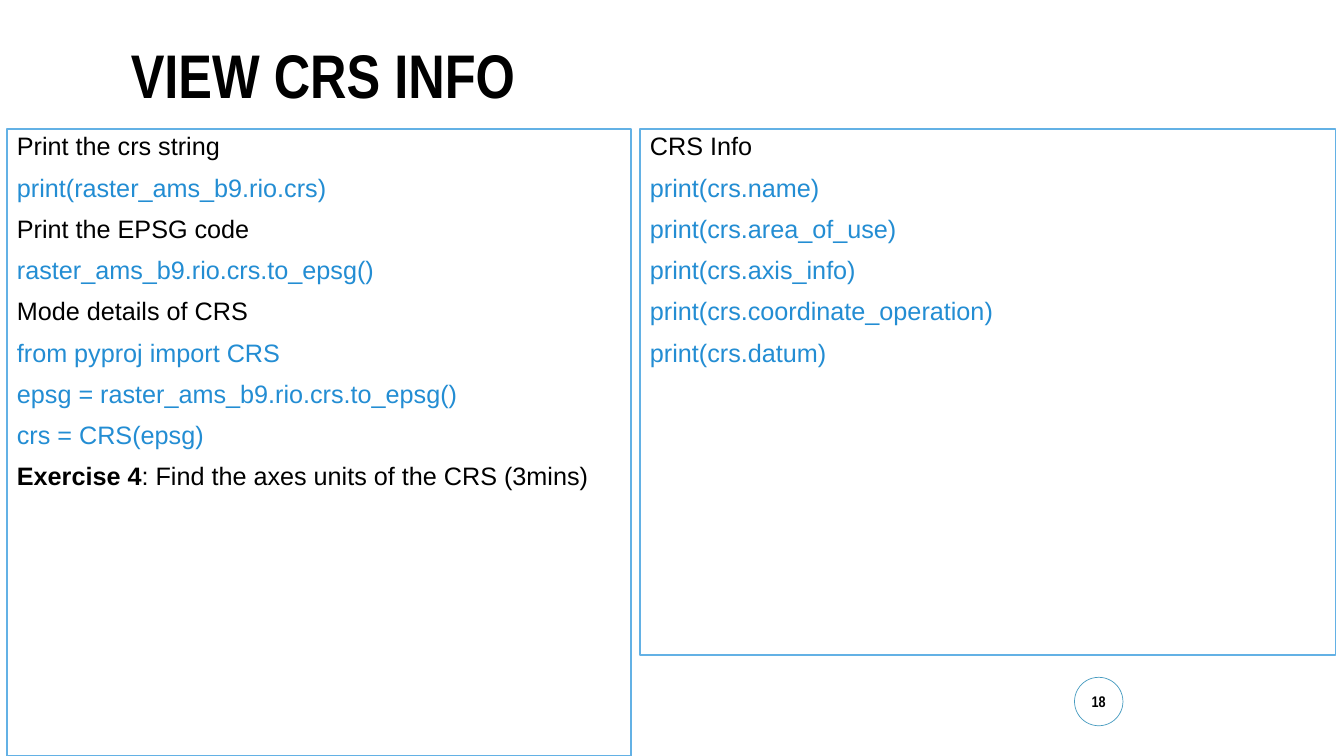
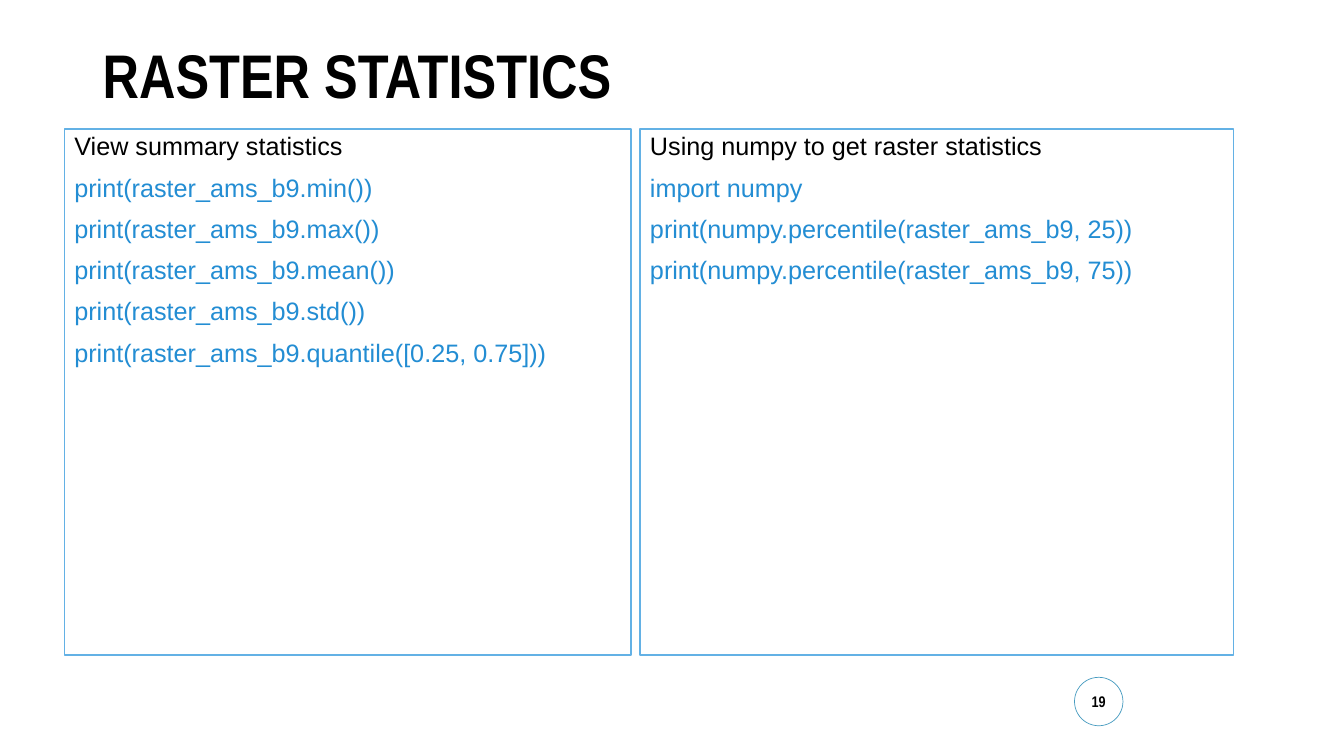
import dataclasses
import typing

import pptx
import pptx.dml.color
import pptx.enum.shapes
import pptx.enum.text
import pptx.presentation
import pptx.shapes.autoshape
import pptx.slide
import pptx.text.text
import pptx.util

Pt = pptx.util.Pt
ALIGN = pptx.enum.text.PP_ALIGN
ANCHOR = pptx.enum.text.MSO_ANCHOR
SHAPE = pptx.enum.shapes.MSO_SHAPE

BLACK, WHITE = "000000", "FFFFFF"
CODE, EDGE, RING = "238DD3", "63B1E5", "469BC0"
HEAD, BODY = "Arial Narrow", "Arial"
WIDE, HIGH = 960, 540
TOP, BASE = 92.2, 468
SPLIT, GAP = 450.7, 6.5


@dataclasses.dataclass(frozen=True)
class Line:
    text: str
    code: bool = True
    lead: str = ""


@dataclasses.dataclass(frozen=True)
class Panel:
    left: float
    right: float
    lines: typing.Sequence[Line]
    base: float = BASE


@dataclasses.dataclass(frozen=True)
class Page:
    title: str
    number: int
    panels: typing.Sequence[Panel]
    indent: float = 0


def note(text: str, lead: str = "") -> Line:
    """Make a line of plain prose with an optional bold lead."""
    return Line(text, False, lead)


PAGES = (
    Page("VIEW CRS INFO", 18, (
        Panel(5, SPLIT, (
            note("Print the crs string"),
            Line("print(raster_ams_b9.rio.crs)"),
            note("Print the EPSG code"),
            Line("raster_ams_b9.rio.crs.to_epsg()"),
            note("Mode details of CRS"),
            Line("from pyproj import CRS"),
            Line("epsg = raster_ams_b9.rio.crs.to_epsg()"),
            Line("crs = CRS(epsg)"),
            note(": Find the axes units of the CRS (3mins)", "Exercise 4"),
        ), HIGH),
        Panel(SPLIT + GAP, 954, (
            note("CRS Info"),
            Line("print(crs.name)"),
            Line("print(crs.area_of_use)"),
            Line("print(crs.axis_info)"),
            Line("print(crs.coordinate_operation)"),
            Line("print(crs.datum)"),
        )),
    ), 20),
    Page("RASTER STATISTICS", 19, (
        Panel(46, SPLIT, (
            note("View summary statistics"),
            Line("print(raster_ams_b9.min())"),
            Line("print(raster_ams_b9.max())"),
            Line("print(raster_ams_b9.mean())"),
            Line("print(raster_ams_b9.std())"),
            Line("print(raster_ams_b9.quantile([0.25, 0.75]))"),
        )),
        Panel(SPLIT + GAP, 881.3, (
            note("Using numpy to get raster statistics"),
            Line("import numpy"),
            Line("print(numpy.percentile(raster_ams_b9, 25))"),
            Line("print(numpy.percentile(raster_ams_b9, 75))"),
        )),
    )),
)


def tint(code: str) -> pptx.dml.color.RGBColor:
    """Turn a hex string into a colour."""
    return pptx.dml.color.RGBColor.from_string(code)


def style(run: pptx.text.text._Run, size: float, face: str,
          color: str = BLACK, bold: bool = False) -> None:
    """Set the font of a run."""
    font = run.font
    font.size, font.name, font.bold = Pt(size), face, bold
    font.color.rgb = tint(color)


def shape(slide: pptx.slide.Slide, kind: SHAPE, left: float, top: float,
          width: float, height: float, edge: str,
          weight: float) -> pptx.shapes.autoshape.Shape:
    """Add a white outlined shape."""
    item = slide.shapes.add_shape(
        kind, Pt(left), Pt(top), Pt(width), Pt(height))
    item.shadow.inherit = False
    item.fill.solid()
    item.fill.fore_color.rgb = tint(WHITE)
    item.line.color.rgb = tint(edge)
    item.line.width = Pt(weight)
    item.text_frame.word_wrap = True
    return item


def head(slide: pptx.slide.Slide, page: Page) -> None:
    """Place and format the title."""
    title = slide.shapes.title
    title.left, title.top = Pt(66.2), Pt(28.8)
    title.width, title.height = Pt(828), Pt(104.4)
    frame = title.text_frame
    frame.text = page.title
    frame.auto_size = pptx.enum.text.MSO_AUTO_SIZE.NONE
    frame.vertical_anchor = ANCHOR.TOP
    frame.margin_left = Pt(7.2 + page.indent)
    para = frame.paragraphs[0]
    para.alignment, para.line_spacing = ALIGN.LEFT, 0.9
    style(para.runs[0], 44, HEAD, bold=True)


def badge(slide: pptx.slide.Slide, number: int) -> None:
    """Draw the ringed page number."""
    ring = shape(slide, SHAPE.OVAL, 767.5, 483.8, 34.6, 34.6, RING, 0.5)
    frame = ring.text_frame
    frame.text = str(number)
    frame.vertical_anchor = ANCHOR.MIDDLE
    frame.margin_left = frame.margin_right = 0
    frame.margin_top = frame.margin_bottom = 0
    para = frame.paragraphs[0]
    para.alignment = ALIGN.CENTER
    style(para.runs[0], 11, HEAD, bold=True)


def draw(slide: pptx.slide.Slide, panel: Panel) -> None:
    """Draw a panel of prose and code lines."""
    box = shape(slide, SHAPE.RECTANGLE, panel.left, TOP,
                panel.right - panel.left, panel.base - TOP, EDGE, 1)
    frame = box.text_frame
    frame.vertical_anchor = ANCHOR.TOP
    for index, line in enumerate(panel.lines):
        para = frame.add_paragraph() if index else frame.paragraphs[0]
        para.alignment, para.line_spacing = ALIGN.LEFT, 0.9
        para.space_before = Pt(10 if index else 0)
        if line.lead:
            para.text = line.lead
            style(para.runs[0], 18, BODY, bold=True)
        run = para.add_run()
        run.text = line.text
        style(run, 18, BODY, CODE if line.code else BLACK)


def build(deck: pptx.presentation.Presentation, page: Page) -> None:
    """Add one slide."""
    slide = deck.slides.add_slide(deck.slide_layouts[5])
    head(slide, page)
    badge(slide, page.number)
    for panel in page.panels:
        draw(slide, panel)


def main() -> None:
    """Build and save the deck."""
    deck = pptx.Presentation()
    deck.slide_width, deck.slide_height = Pt(WIDE), Pt(HIGH)
    for page in PAGES:
        build(deck, page)
    deck.save("out.pptx")


if __name__ == "__main__":
    main()
